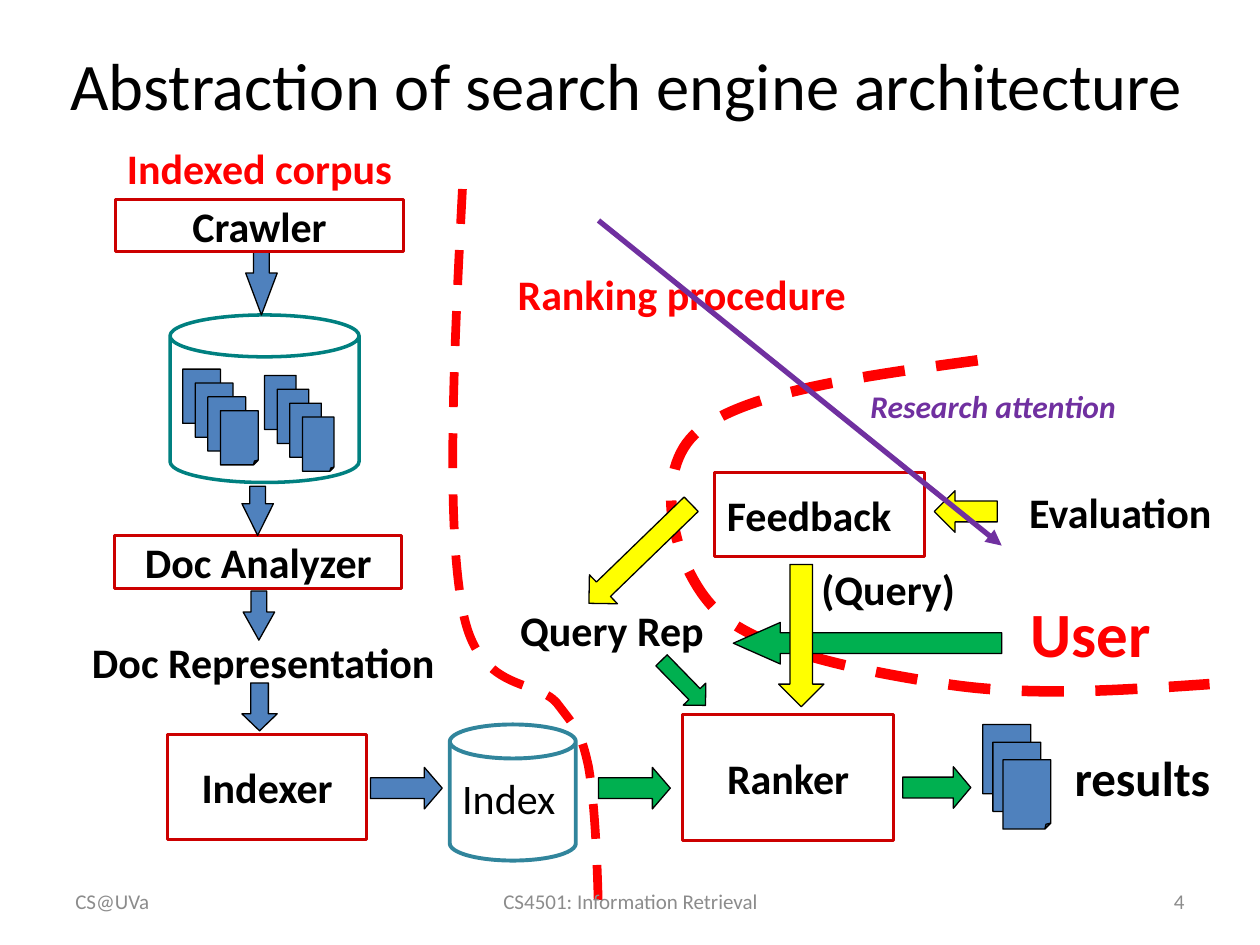
import dataclasses

import lxml.etree
import pptx
import pptx.dml.color
import pptx.enum.dml
import pptx.enum.shapes
import pptx.enum.text
import pptx.oxml.ns
import pptx.util

Inches = pptx.util.Inches
Pt = pptx.util.Pt
SHAPE = pptx.enum.shapes.MSO_SHAPE
ALIGN = pptx.enum.text.PP_ALIGN
ANCHOR = pptx.enum.text.MSO_ANCHOR
qn = pptx.oxml.ns.qn


@dataclasses.dataclass(frozen=True)
class Theme:
    font: str = "Calibri"
    black: str = "000000"
    red: str = "FF0000"
    frame: str = "CC0000"
    blue: str = "4F81BD"
    green: str = "00B050"
    yellow: str = "FFFF00"
    purple: str = "7030A0"
    teal: str = "008080"
    aqua: str = "31859C"
    gray: str = "8C8C8C"
    title: int = 38
    user: int = 36
    results: int = 28
    label: int = 24
    note: int = 18
    footer: int = 12


THEME = Theme()


def rgb(color):
    return pptx.dml.color.RGBColor.from_string(color)


def write_text(box, text, *, size=THEME.label, color=THEME.black, bold=True,
               italic=False, align=ALIGN.LEFT, anchor=ANCHOR.TOP, wrap=True):
    frame = box.text_frame
    frame.word_wrap = wrap
    frame.vertical_anchor = anchor
    para = frame.paragraphs[0]
    para.alignment = align
    span = para.add_run()
    span.text = text
    span.font.name = THEME.font
    span.font.size = Pt(size)
    span.font.bold = bold
    span.font.italic = italic
    span.font.color.rgb = rgb(color)


def add_label(page, text, left, top, width, height=0.5, **text_format):
    box = page.shapes.add_textbox(Inches(left), Inches(top), Inches(width), Inches(height))
    write_text(box, text, **text_format)


def add_figure(page, kind, left, top, width, height, *, fill=None,
               line=THEME.black, weight=0.75, adjustments=(), rotation=0):
    figure = page.shapes.add_shape(kind, Inches(left), Inches(top), Inches(width), Inches(height))
    figure.shadow.inherit = False
    figure.rotation = rotation
    for index, value in enumerate(adjustments):
        figure.adjustments[index] = value
    if fill:
        figure.fill.solid()
        figure.fill.fore_color.rgb = rgb(fill)
    else:
        figure.fill.background()
    figure.line.color.rgb = rgb(line)
    figure.line.width = Pt(weight)
    return figure


def add_module(page, text, left, top, width, height, align=ALIGN.CENTER):
    module = add_figure(page, SHAPE.RECTANGLE, left, top, width, height,
                        line=THEME.frame, weight=1.75)
    write_text(module, text, align=align, anchor=ANCHOR.MIDDLE, wrap=False)


def add_arrow(page, left, top, width, height, fill=THEME.blue, head=0.5, rotation=0):
    add_figure(page, SHAPE.DOWN_ARROW, left, top, width, height, fill=fill,
               adjustments=(0.5, head), rotation=rotation)


def add_store(page, left, top, width, height, line, weight, lid):
    add_figure(page, SHAPE.CAN, left, top, width, height, line=line, weight=weight,
               adjustments=(lid,))


def add_documents(page, left, top, width, height, count, step_x, step_y):
    for index in range(count):
        sheet = add_figure(page, SHAPE.FOLDED_CORNER, left + index * step_x,
                           top + index * step_y, width, height, fill=THEME.blue)
        guides = sheet._element.xpath(".//a:avLst")[0]
        for guide in list(guides):
            guides.remove(guide)
        lxml.etree.SubElement(guides, qn("a:gd"), name="adj", fmla="val 12500")


def add_boundary(page, points, weight):
    corners = [(Inches(x), Inches(y)) for x, y in points]
    builder = page.shapes.build_freeform(*corners[0])
    builder.add_line_segments(corners[1:], close=False)
    boundary = builder.convert_to_shape()
    boundary.shadow.inherit = False
    boundary.fill.background()
    boundary.line.color.rgb = rgb(THEME.red)
    boundary.line.width = Pt(weight)
    boundary.line.dash_style = pptx.enum.dml.MSO_LINE.DASH
    outline = boundary._element.xpath(".//a:path")[0]
    segments = outline.findall(qn("a:lnTo"))
    for start in range(0, len(segments), 3):
        curve = lxml.etree.SubElement(outline, qn("a:cubicBezTo"))
        for segment in segments[start:start + 3]:
            curve.append(segment[0])
            outline.remove(segment)


def add_pointer(page, start, end, color, weight):
    pointer = page.shapes.add_connector(
        pptx.enum.shapes.MSO_CONNECTOR.STRAIGHT, *map(Inches, start + end))
    pointer.line.color.rgb = rgb(color)
    pointer.line.width = Pt(weight)
    lxml.etree.SubElement(pointer.line._get_or_add_ln(), qn("a:tailEnd"), type="triangle")
    lxml.etree.SubElement(pointer._element.spPr, qn("a:effectLst"))


def add_title(page, text):
    title = page.shapes.title
    title.left, title.top = Inches(0.08), Inches(0.08)
    title.width, title.height = Inches(9.79), Inches(1.17)
    write_text(title, text, size=THEME.title, bold=False,
               align=ALIGN.CENTER, anchor=ANCHOR.MIDDLE)


def add_indexing(page):
    add_module(page, "Indexer", 1.33, 5.83, 1.58, 0.83)
    add_module(page, "Doc Analyzer", 0.91, 4.25, 2.28, 0.42)
    add_arrow(page, 1.92, 5.42, 0.28, 0.38, head=0.48)
    add_store(page, 1.35, 2.5, 1.5, 1.33, THEME.teal, 2, 0.25)
    add_documents(page, 1.45, 2.93, 0.3, 0.43, 4, 0.1, 0.11)
    add_documents(page, 2.1, 2.98, 0.25, 0.43, 4, 0.1, 0.11)
    add_arrow(page, 1.95, 1.99, 0.25, 0.51, head=1.33)
    add_arrow(page, 3.06, 5.97, 0.33, 0.57, head=0.43, rotation=270)
    add_store(page, 3.57, 5.75, 1, 1.08, THEME.aqua, 2.25, 0.27)
    add_label(page, "Index", 3.57, 6.08, 0.96, bold=False, wrap=False)


def add_ranking(page):
    add_module(page, "Ranker", 5.42, 5.67, 1.67, 1)
    add_arrow(page, 5.3, 5.17, 0.25, 0.5, THEME.green, rotation=315.7)
    add_arrow(page, 4.87, 5.97, 0.33, 0.57, THEME.green, 0.43, 270)
    add_documents(page, 7.8, 5.75, 0.38, 0.55, 3, 0.08, 0.14)
    add_label(page, "results", 8.43, 5.88, 1.3, 0.57, size=THEME.results, wrap=False)
    add_arrow(page, 7.27, 5.98, 0.33, 0.54, THEME.green, 0.42, 270)


def add_boundaries(page):
    add_boundary(page, [
        (3.67, 1.5), (3.6, 2.83), (3.54, 4.15), (3.67, 4.83), (3.79, 5.51),
        (4.25, 5.38), (4.42, 5.58), (4.58, 5.79), (4.61, 5.81), (4.67, 6.08),
        (4.72, 6.36), (4.74, 6.81), (4.75, 7.25)], 5)
    add_boundary(page, [
        (7.76, 2.86), (6.81, 2.99), (5.86, 3.12), (5.51, 3.45), (5.17, 3.78),
        (5.35, 4.51), (5.68, 4.84), (6.01, 5.17), (6.86, 5.33), (7.51, 5.43),
        (8.17, 5.53), (8.88, 5.48), (9.6, 5.43)], 6)


def add_crawling(page):
    add_module(page, "Crawler", 0.92, 1.58, 2.28, 0.42)
    add_label(page, "Doc Representation", 0.34, 5, 3.5, align=ALIGN.CENTER)
    add_arrow(page, 1.92, 3.86, 0.25, 0.39, head=1.01)
    add_arrow(page, 1.93, 4.69, 0.25, 0.39, head=0.89)


def add_user_side(page):
    add_label(page, "User", 8.08, 4.67, 1.56, 0.7, size=THEME.user, color=THEME.red)
    add_label(page, "Query Rep", 4.03, 4.75, 2.22)
    add_arrow(page, 6.72, 4.04, 0.33, 2.13, THEME.green, 1.13, 90)
    add_label(page, "(Query)", 6.42, 4.42, 2.22)
    add_label(page, "Evaluation", 8.07, 3.81, 1.67, wrap=False)
    add_module(page, "Feedback", 5.67, 3.75, 1.67, 0.67, align=ALIGN.LEFT)
    add_arrow(page, 7.5, 3.81, 0.33, 0.5, THEME.yellow, rotation=90)
    add_arrow(page, 6.18, 4.48, 0.36, 1.13, THEME.yellow)
    add_arrow(page, 4.92, 3.83, 0.32, 1.13, THEME.yellow, rotation=45.9)


def add_footer(page):
    for text, left, width, align in (
            ("CS@UVa", 0.5, 2.33, ALIGN.LEFT),
            ("CS4501: Information Retrieval", 3.42, 3.17, ALIGN.CENTER),
            ("4", 7.17, 2.33, ALIGN.RIGHT)):
        add_label(page, text, left, 6.95, width, 0.4, size=THEME.footer, color=THEME.gray,
                  bold=False, align=align, anchor=ANCHOR.MIDDLE)


def add_annotations(page):
    add_label(page, "Indexed corpus", 0.91, 1.08, 2.67, color=THEME.red)
    add_label(page, "Ranking procedure", 4.01, 2.08, 3.01, color=THEME.red)
    add_pointer(page, (4.75, 1.75), (7.95, 4.33), THEME.purple, 3)
    add_label(page, "Research attention", 6.81, 3.02, 2.92, 0.4, size=THEME.note,
              color=THEME.purple, italic=True)


def main():
    deck = pptx.Presentation()
    deck.slide_width, deck.slide_height = Inches(10), Inches(7.5)
    page = deck.slides.add_slide(deck.slide_layouts[5])
    add_title(page, "Abstraction of search engine architecture")
    add_indexing(page)
    add_ranking(page)
    add_boundaries(page)
    add_crawling(page)
    add_user_side(page)
    add_footer(page)
    add_annotations(page)
    deck.save("out.pptx")


if __name__ == "__main__":
    main()
